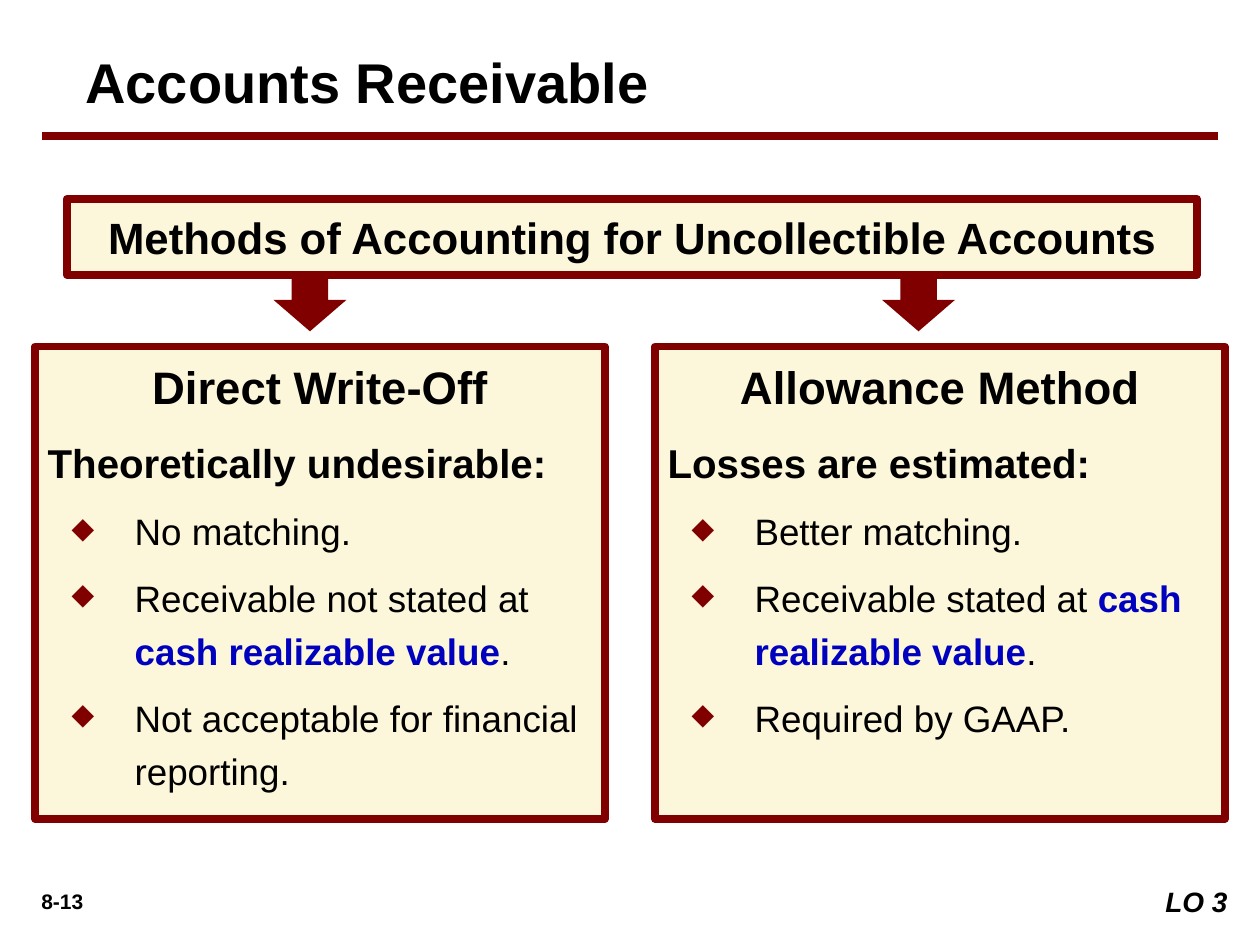
from dataclasses import dataclass

from lxml.etree import SubElement
from pptx import Presentation
from pptx.dml.color import RGBColor
from pptx.enum.shapes import MSO_CONNECTOR, MSO_SHAPE
from pptx.enum.text import MSO_ANCHOR, PP_ALIGN
from pptx.oxml.ns import qn
from pptx.util import Inches, Pt


@dataclass(frozen=True)
class Theme:
    font: str = "Arial"
    maroon: str = "800000"
    cream: str = "FCF6DA"
    black: str = "000000"
    blue: str = "0000BF"
    white: str = "FFFFFF"
    border: float = 4.5
    title: float = 32
    panel_title: float = 26
    banner: float = 25
    lead: float = 23
    bullet: float = 21
    objective: float = 16
    page_number: float = 12


THEME = Theme()
VALUE_TERM = "cash realizable value"


def color(value):
    return RGBColor.from_string(value)


def add_run(paragraph, text, size, bold=True, italic=False, ink=THEME.black):
    run = paragraph.add_run()
    run.text = text
    font = run.font
    font.name = THEME.font
    font.size = Pt(size)
    font.bold = bold
    font.italic = italic
    font.color.rgb = color(ink)


def set_up_frame(shape, top_inset=0.05):
    frame = shape.text_frame
    frame.word_wrap = True
    frame.vertical_anchor = MSO_ANCHOR.TOP
    frame.margin_left = frame.margin_right = Inches(0.1)
    frame.margin_top = Inches(top_inset)
    frame.margin_bottom = Inches(0.05)
    return frame


def add_label(slide, left, top, width, height, text, size,
              alignment=PP_ALIGN.LEFT, italic=False):
    label = slide.shapes.add_textbox(
        Inches(left), Inches(top), Inches(width), Inches(height))
    paragraph = set_up_frame(label).paragraphs[0]
    paragraph.alignment = alignment
    add_run(paragraph, text, size, italic=italic)
    return label


def add_box(slide, left, top, width, height, heading, size, top_inset):
    box = slide.shapes.add_shape(
        MSO_SHAPE.RECTANGLE,
        Inches(left), Inches(top), Inches(width), Inches(height))
    box.shadow.inherit = False
    box.fill.solid()
    box.fill.fore_color.rgb = color(THEME.cream)
    box.line.color.rgb = color(THEME.maroon)
    box.line.width = Pt(THEME.border)
    frame = set_up_frame(box, top_inset)
    paragraph = frame.paragraphs[0]
    paragraph.alignment = PP_ALIGN.CENTER
    add_run(paragraph, heading, size)
    return frame


def add_body_paragraph(frame, space_before):
    paragraph = frame.add_paragraph()
    paragraph.alignment = PP_ALIGN.LEFT
    paragraph.line_spacing = 1.2
    paragraph.space_before = Pt(space_before)
    return paragraph


def add_bullet(frame, parts):
    paragraph = add_body_paragraph(frame, 7.9)
    paragraph.level = 1
    properties = paragraph._p.get_or_add_pPr()
    properties.set("marL", str(Inches(0.69)))
    properties.set("indent", str(Inches(-0.5)))
    bullet_color = SubElement(properties, qn("a:buClr"))
    SubElement(bullet_color, qn("a:srgbClr"), val=THEME.maroon)
    SubElement(properties, qn("a:buSzPct"), val="80000")
    SubElement(properties, qn("a:buChar"), char="◆")
    for part in parts:
        is_term = part == VALUE_TERM
        add_run(paragraph, part, THEME.bullet, bold=is_term,
                ink=THEME.blue if is_term else THEME.black)


def add_panel(slide, left, heading, lead, bullets):
    frame = add_box(slide, left, 2.75, 4.58 - 0.06, 3.75,
                    heading, THEME.panel_title, 0.1)
    add_run(add_body_paragraph(frame, 8.6), lead, THEME.lead)
    for parts in bullets:
        add_bullet(frame, parts)


def add_down_arrow(slide, left):
    arrow = slide.shapes.add_shape(
        MSO_SHAPE.DOWN_ARROW,
        Inches(left), Inches(2.13), Inches(0.58), Inches(0.5))
    arrow.shadow.inherit = False
    arrow.fill.solid()
    arrow.fill.fore_color.rgb = color(THEME.maroon)
    arrow.line.fill.background()


def add_rule(slide, left, right, top):
    rule = slide.shapes.add_connector(
        MSO_CONNECTOR.STRAIGHT,
        Inches(left), Inches(top), Inches(right), Inches(top))
    rule.line.color.rgb = color(THEME.maroon)
    rule.line.width = Pt(THEME.border)
    SubElement(rule._element.spPr, qn("a:effectLst"))


def main():
    presentation = Presentation()
    presentation.slide_width = Inches(10)
    presentation.slide_height = Inches(7.5)
    slide = presentation.slides.add_slide(presentation.slide_layouts[6])

    add_label(slide, 0.58, 0.33, 9, 0.61, "Accounts Receivable", THEME.title)
    add_rule(slide, 0.33, 9.67, 1.08)

    for left in (2.17, 7):
        add_down_arrow(slide, left)
    add_box(slide, 0.53, 1.58, 8.97, 0.6,
            "Methods of Accounting for Uncollectible Accounts",
            THEME.banner, 0.09)

    add_panel(slide, 0.28, "Direct Write-Off", "Theoretically undesirable:", [
        ["No matching."],
        ["Receivable not stated at ", VALUE_TERM, "."],
        ["Not acceptable for financial reporting."],
    ])
    add_panel(slide, 5.2, "Allowance Method", "Losses are estimated:", [
        ["Better matching."],
        ["Receivable stated at ", VALUE_TERM, "."],
        ["Required by GAAP."],
    ])

    add_label(slide, 0.08, 7, 0.83, 0.3, "8-13", THEME.page_number,
              PP_ALIGN.CENTER)
    objective = add_label(slide, 8.92, 6.97, 0.92, 0.37, "LO 3",
                          THEME.objective, PP_ALIGN.RIGHT, italic=True)
    objective.fill.solid()
    objective.fill.fore_color.rgb = color(THEME.white)

    presentation.save("out.pptx")


if __name__ == "__main__":
    main()
